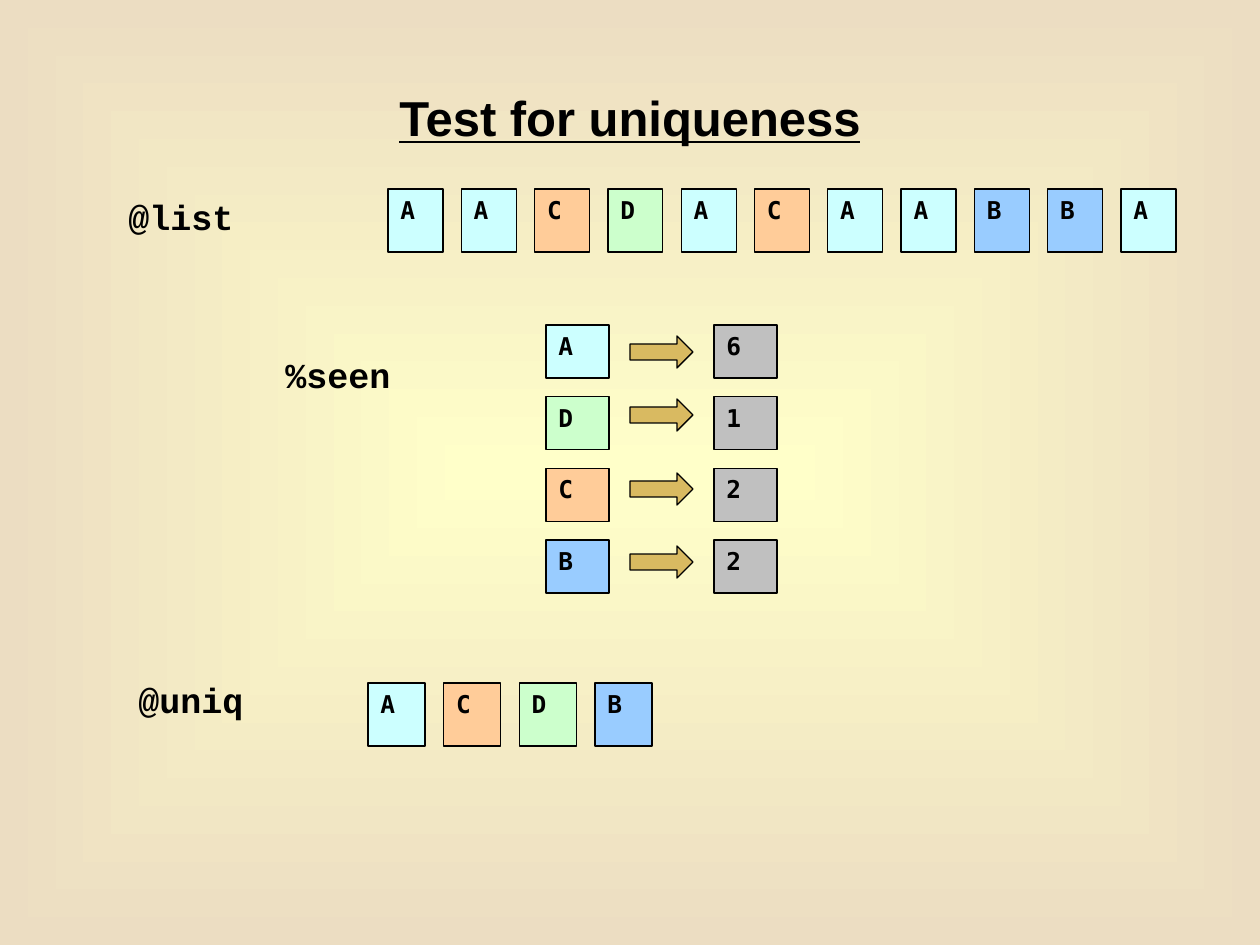
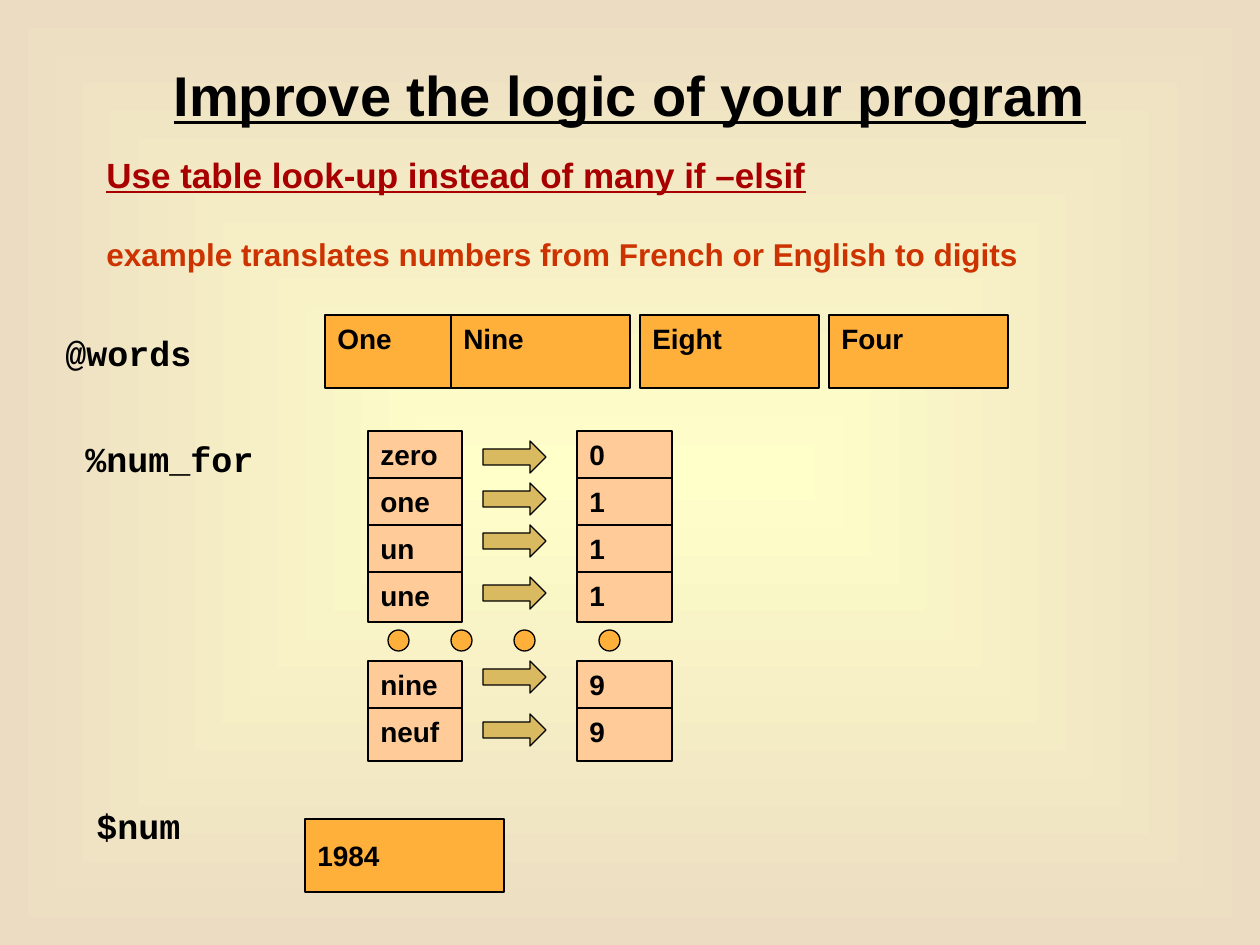
from lxml.etree import SubElement
from pptx import Presentation
from pptx.dml.color import RGBColor
from pptx.enum.shapes import MSO_SHAPE
from pptx.enum.text import MSO_ANCHOR, PP_ALIGN
from pptx.oxml.ns import qn
from pptx.util import Emu, Pt

BLACK = RGBColor(0x00, 0x00, 0x00)
CREAM = RGBColor(0xFF, 0xFF, 0xC9)
SAND = RGBColor(0xEC, 0xDD, 0xC2)
CYAN = RGBColor(0xCC, 0xFF, 0xFF)
PEACH = RGBColor(0xFF, 0xCC, 0x99)
GREEN = RGBColor(0xCC, 0xFF, 0xCC)
BLUE = RGBColor(0x99, 0xCC, 0xFF)
GREY = RGBColor(0xC0, 0xC0, 0xC0)
GOLD = RGBColor(0xD9, 0xBA, 0x61)
AMBER = RGBColor(0xFF, 0xB0, 0x3B)
RED = RGBColor(0xA8, 0x00, 0x00)
RUST = RGBColor(0xCC, 0x33, 0x00)

SCALE = 914400 / 126
WIDE, HIGH = 1260, 945

HEAD = {"name": "Arial", "size": Pt(28), "bold": True, "underline": True}
LARGE = {**HEAD, "size": Pt(32)}
LEAD = {**HEAD, "size": Pt(20)}
NOTE = {"name": "Arial", "size": Pt(18), "bold": True}
WORD = {**NOTE, "size": Pt(16)}
CODE = {"name": "Courier New", "size": Pt(20), "bold": True}
MONO = {"name": "DejaVu Sans Mono", "size": Pt(14), "bold": True}

TINTS = {"A": CYAN, "B": BLUE, "C": PEACH, "D": GREEN}
ITEMS = "AACDACAABBA"
SEEN = [("A", "6", 336), ("D", "1", 399), ("C", "2", 473), ("B", "2", 546)]
UNIQ = "ACDB"
TAGS = [("@list", 116, 189), ("@uniq", 126, 672), ("%seen", 273, 347)]

WORDS = [("One", 325, 126), ("Nine", 451, 179), ("Eight", 640, 179), ("Four", 829, 179)]
FIRST = [("zero", "0", 441, 50), ("one", "1", 483, 50), ("un", "1", 525, 53), ("une", "1", 577, 50)]
FINAL = [("nine", "9", 661, 50), ("neuf", "9", 714, 53)]
DOTS = [388, 451, 514, 599]
MARKS = [("@words", 53, 325), ("$num", 84, 798), ("%num_for", 73, 431)]
LINES = [
    ("Use table look-up instead of many if –elsif", LEAD, RED, 0),
    ("example translates numbers from French or English to digits", NOTE, RUST, 23),
]


def px(*sizes):
    return [Emu(round(size * SCALE)) for size in sizes]


def spread(start, end, count):
    return [start + (end - start) * i / (count - 1) for i in range(count)]


def write(shape, lines, align=PP_ALIGN.LEFT, anchor=MSO_ANCHOR.TOP):
    frame = shape.text_frame
    frame.word_wrap = True
    frame.vertical_anchor = anchor
    for i, (text, form, tint, gap) in enumerate(lines):
        para = frame.add_paragraph() if i else frame.paragraphs[0]
        para.alignment = align
        if gap:
            para.space_before = Pt(gap)
        run = para.add_run()
        run.text = text
        for key, value in form.items():
            setattr(run.font, key, value)
        run.font.color.rgb = tint


def draw(slide, kind, place, tint):
    shape = slide.shapes.add_shape(kind, *px(*place))
    shape.shadow.inherit = False
    shape.fill.solid()
    shape.fill.fore_color.rgb = tint
    shape.line.color.rgb = BLACK
    shape.line.width = Pt(0.75)
    return shape


def box(slide, text, place, tint, form, anchor=MSO_ANCHOR.TOP):
    shape = draw(slide, MSO_SHAPE.RECTANGLE, place, tint)
    write(shape, [(text, form, BLACK, 0)], anchor=anchor)


def arrow(slide, left, top):
    draw(slide, MSO_SHAPE.RIGHT_ARROW, (left, top, 63, 32), GOLD)


def title(slide, text, top, high, form):
    area = slide.shapes.add_textbox(*px(63, top, 1134, high))
    write(area, [(text, form, BLACK, 0)], PP_ALIGN.CENTER, MSO_ANCHOR.MIDDLE)


def label(slide, tags, wide):
    for text, left, top in tags:
        area = slide.shapes.add_textbox(*px(left, top, wide, 55))
        write(area, [(text, CODE, BLACK, 0)])


def backdrop(deck):
    master = deck.slide_master
    fill = master.background.fill
    fill.gradient()
    for stop, tint in zip(fill.gradient_stops, (CREAM, SAND)):
        stop.color.rgb = tint
    grad = next(master.element.iter(qn("a:gradFill")))
    grad.remove(grad.find(qn("a:lin")))
    rect = SubElement(SubElement(grad, qn("a:path"), path="rect"), qn("a:fillToRect"))
    for side in "ltrb":
        rect.set(side, "50000")


def unique(slide):
    title(slide, "Test for uniqueness", 38, 158, HEAD)
    for item, left in zip(ITEMS, spread(388, 1121, len(ITEMS))):
        box(slide, item, (left, 189, 55, 63), TINTS[item], MONO)
    for (item, count, mid), top in zip(SEEN, spread(325, 540, len(SEEN))):
        box(slide, item, (546, top, 63, 53), TINTS[item], MONO)
        box(slide, count, (714, top, 63, 53), GREY, MONO)
        arrow(slide, 630, mid)
    label(slide, TAGS, 199)
    for item, left in zip(UNIQ, spread(368, 595, len(UNIQ))):
        box(slide, item, (left, 683, 57, 63), TINTS[item], MONO)


def lookup(slide):
    title(slide, "Improve the logic of your program", 0, 189, LARGE)
    for text, left, wide in WORDS:
        box(slide, text, (left, 315, wide, 73), AMBER, WORD)
    for rows, start in ((FIRST, 431), (FINAL, 661)):
        for i, (text, digit, mid, high) in enumerate(rows):
            top = start + 47 * i
            box(slide, text, (368, top, 94, high), PEACH, WORD)
            box(slide, digit, (577, top, 95, high), PEACH, WORD)
            arrow(slide, 483, mid)
    write(slide.shapes.add_textbox(*px(94, 147, 998, 135)), LINES)
    label(slide, MARKS, 242)
    for left in DOTS:
        draw(slide, MSO_SHAPE.OVAL, (left, 630, 21, 21), AMBER)
    box(slide, "1984", (305, 819, 199, 73), AMBER, WORD, MSO_ANCHOR.MIDDLE)


def main():
    deck = Presentation()
    deck.slide_width, deck.slide_height = px(WIDE, HIGH)
    backdrop(deck)
    for build in (unique, lookup):
        build(deck.slides.add_slide(deck.slide_layouts[6]))
    deck.save("out.pptx")


if __name__ == "__main__":
    main()
